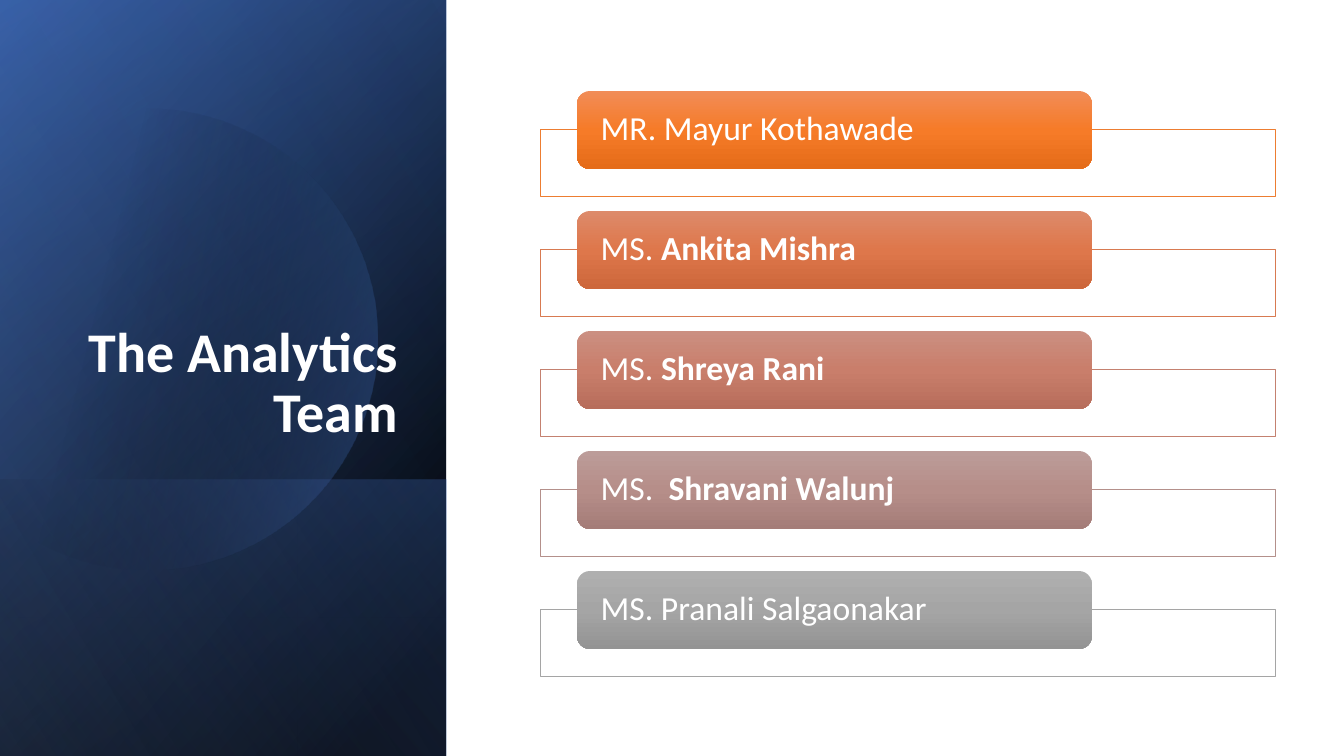
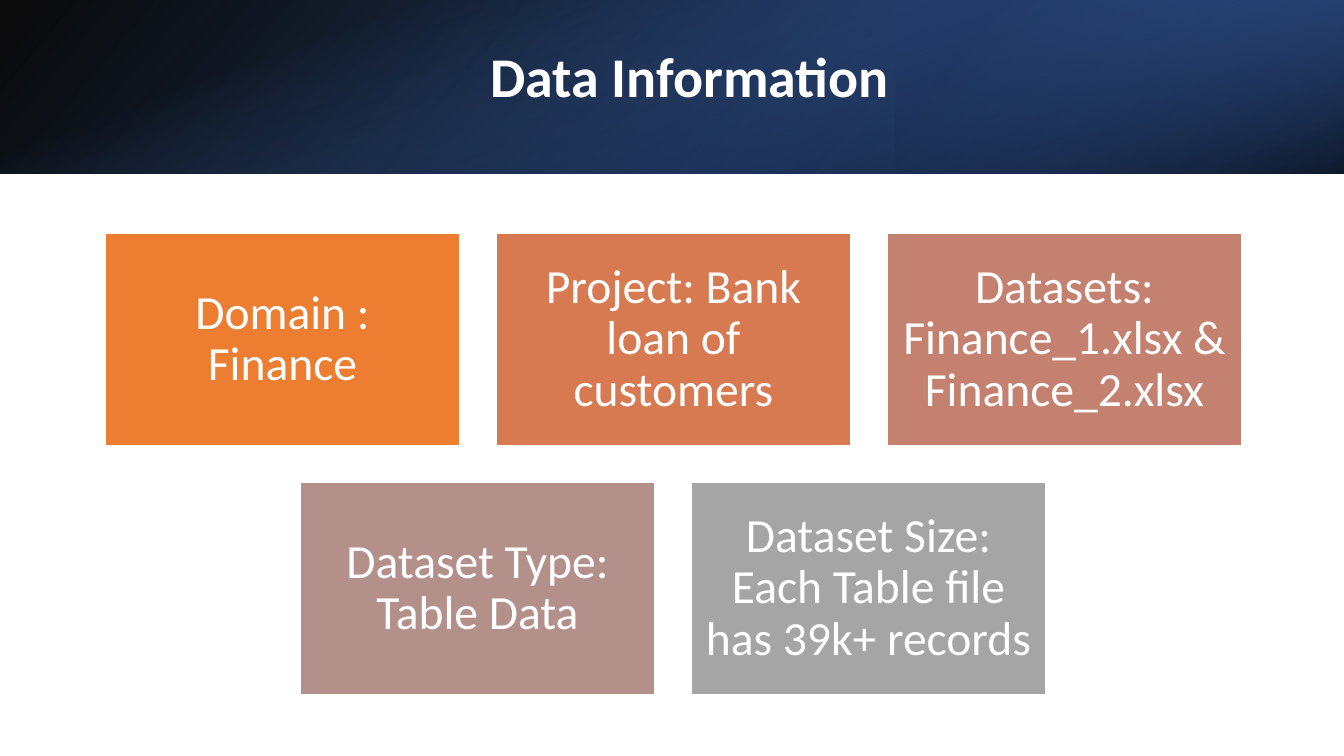
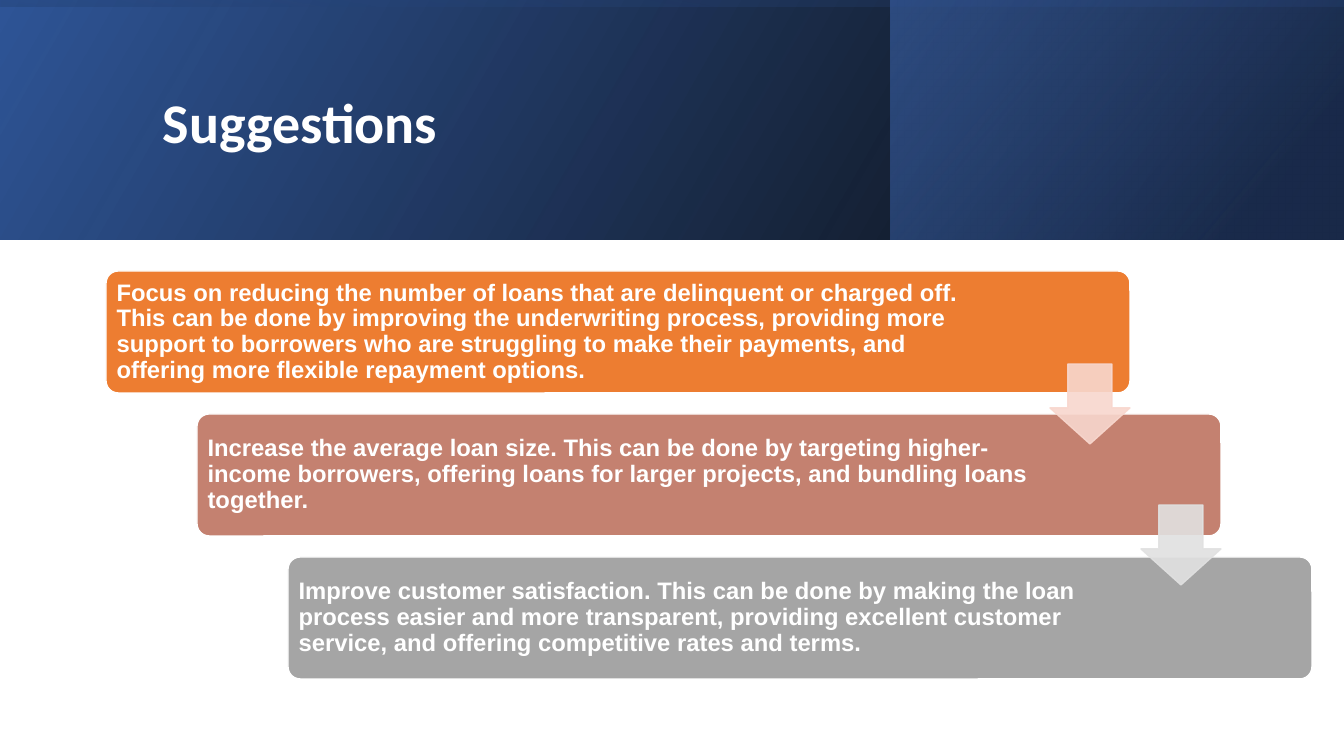
"""Build three slides: the team, the data and the suggestions."""
from dataclasses import dataclass
from math import cos, radians, sin

from pptx import Presentation
from pptx.dml.color import RGBColor
from pptx.enum.shapes import MSO_SHAPE
from pptx.enum.text import MSO_ANCHOR, PP_ALIGN
from pptx.oxml import parse_xml
from pptx.oxml.ns import nsdecls, qn
from pptx.shapes.autoshape import Shape
from pptx.slide import Slide
from pptx.util import Emu, Pt

RECT = MSO_SHAPE.RECTANGLE
ROUND = MSO_SHAPE.ROUNDED_RECTANGLE
ARROW = MSO_SHAPE.DOWN_ARROW
LEFT, MID, RIGHT = PP_ALIGN.LEFT, PP_ALIGN.CENTER, PP_ALIGN.RIGHT
CENTER, BOTTOM = MSO_ANCHOR.MIDDLE, MSO_ANCHOR.BOTTOM
WIDE, HIGH = 1344, 756
SCALE = 12192000 / WIDE
HEAD, BODY = "Calibri", "Arial"

COLORS = {
    "white": "FFFFFF", "black": "000000", "navy": "203864",
    "deep": "2F5597", "blue": "4472C4", "pale": "8FAADC",
    "orange": "ED7D31", "copper": "D87A51", "clay": "C48170",
    "mauve": "B4908B", "gray": "A5A5A5", "blush": "F8D7CE", "mist": "E1E1E1",
    "orange1": "F18C57", "orange2": "F67B28", "orange3": "E56C19",
    "copper1": "DD8A6A", "copper2": "DE774B", "copper3": "CD673B",
    "clay1": "CB8F81", "clay2": "C97E6B", "clay3": "B76D5B",
    "mauve1": "BC9C99", "mauve2": "B68E89", "mauve3": "A47C78",
    "gray1": "AFAFAF", "gray2": "A5A5A5", "gray3": "939393",
}
TONES = ("orange", "copper", "clay", "mauve", "gray")


@dataclass(frozen=True)
class Box:
    """A place on the slide in px."""
    x: int
    y: int
    w: int
    h: int


@dataclass(frozen=True)
class Stop:
    """One gradient stop: position, colour and opacity in percent."""
    pos: int
    color: str
    alpha: int = 100


@dataclass(frozen=True)
class Band:
    """A gradient panel, given by the area it covers once turned."""
    box: Box
    stops: tuple[Stop, ...]
    angle: int
    turn: int = 0
    flip: bool = True


@dataclass(frozen=True)
class Run:
    """Text in one weight."""
    text: str
    bold: bool = False


@dataclass(frozen=True)
class Style:
    """Font, size, alignment, anchor and insets of a text."""
    font: str
    size: int
    align: PP_ALIGN = LEFT
    anchor: MSO_ANCHOR = CENTER
    pads: tuple[int, int, int, int] = (10, 5, 10, 5)


@dataclass(frozen=True)
class Step:
    """A suggestion and the free space to its right."""
    text: str
    color: str
    pad: int


SIDE = Box(0, 0, 446, HIGH)
TOP = Box(0, 0, WIDE, 174)
TALL = Box(0, 0, WIDE, 240)
PANEL = (
    Band(SIDE, (Stop(8, "black"), Stop(100, "deep")), 50, 90),
    Band(SIDE, (Stop(0, "black", 0), Stop(99, "blue", 46)), 30, 90),
    Band(Box(0, 480, 446, 276), (Stop(2, "blue", 29), Stop(100, "black", 30)), 130, 90),
)
SHEEN = Band(SIDE, (Stop(0, "black", 0), Stop(99, "pale", 11)), 120, 90)
DISC = (Stop(29, "black", 0), Stop(100, "blue", 43))
BANNER = (
    Band(TOP, (Stop(0, "black", 96), Stop(100, "deep")), 140),
    Band(Box(896, 0, 448, 174), (Stop(19, "navy", 68), Stop(100, "blue", 79)), 320, 180),
    Band(TOP, (Stop(23, "blue", 0), Stop(99, "black", 74)), 340, 90, False),
)
HEADER = (
    Band(TALL, (Stop(0, "black", 96), Stop(100, "deep")), 330),
    Band(Box(891, 0, 452, 240), (Stop(19, "navy", 68), Stop(100, "blue", 48)), 320),
    Band(TALL, (Stop(23, "deep", 16), Stop(99, "black", 45)), 350, 270),
)
TEAM = (
    (Run("MR. Mayur Kothawade"),),
    (Run("MS."), Run(" Ankita Mishra", True)),
    (Run("MS."), Run(" Shreya Rani", True)),
    (Run("MS.  "), Run("Shravani Walunj", True)),
    (Run("MS. Pranali Salgaonakar"),),
)
FACTS = (
    ("Domain : Finance", "Project: Bank loan of customers",
     "Datasets: Finance_1.xlsx & Finance_2.xlsx"),
    ("Dataset Type: Table Data", "Dataset Size: Each Table file has 39k+ records"),
)
STEPS = (
    Step("Focus on reducing the number of loans that are delinquent or charged off. This can be "
         "done by improving the underwriting process, providing more support to borrowers who are "
         "struggling to make their payments, and offering more flexible repayment options.",
         "orange", 131),
    Step("Increase the average loan size. This can be done by targeting higher-income borrowers, "
         "offering loans for larger projects, and bundling loans together.", "clay", 177),
    Step("Improve customer satisfaction. This can be done by making the loan process easier and "
         "more transparent, providing excellent customer service, and offering competitive rates "
         "and terms.", "gray", 177),
)


def px(size: float) -> Emu:
    """Turn px into EMU."""
    return Emu(round(size * SCALE))


def rgb(name: str) -> RGBColor:
    """Look up a colour."""
    return RGBColor.from_string(COLORS[name])


def place(box: Box) -> tuple[Emu, ...]:
    """Turn a box into EMU."""
    return px(box.x), px(box.y), px(box.w), px(box.h)


def blend(shape: Shape, stops: tuple[Stop, ...], angle: int) -> None:
    """Give a shape a linear gradient, no line and no shadow."""
    marks = "".join(
        f'<a:gs pos="{s.pos * 1000}"><a:srgbClr val="{COLORS[s.color]}">'
        f'<a:alpha val="{s.alpha * 1000}"/></a:srgbClr></a:gs>' for s in stops)
    grad = parse_xml(
        f'<a:gradFill {nsdecls("a")} rotWithShape="1"><a:gsLst>{marks}</a:gsLst>'
        f'<a:lin ang="{angle * 60000}" scaled="0"/></a:gradFill>')
    shape.element.spPr.insert(2, grad)
    shape.line.fill.background()
    shape.shadow.inherit = False


def form(slide: Slide, kind: MSO_SHAPE, box: Box, fill: str, line: str,
         width: float = 1, alpha: int = 100) -> Shape:
    """Draw a plain shape with a solid fill and a line."""
    shape = slide.shapes.add_shape(kind, *place(box))
    shape.shadow.inherit = False
    shape.fill.solid()
    shape.fill.fore_color.rgb = rgb(fill)
    shape.line.color.rgb = rgb(line)
    shape.line.width = Pt(width)
    if alpha < 100:
        for color in shape.element.spPr.iter(qn("a:srgbClr")):
            color.append(parse_xml(f'<a:alpha {nsdecls("a")} val="{alpha * 1000}"/>'))
    return shape


def write(shape: Shape, runs: tuple[Run, ...], style: Style) -> None:
    """Fill a shape with one paragraph."""
    frame = shape.text_frame
    frame.word_wrap = True
    frame.vertical_anchor = style.anchor
    (frame.margin_left, frame.margin_top,
     frame.margin_right, frame.margin_bottom) = map(px, style.pads)
    para = frame.paragraphs[0]
    para.alignment = style.align
    para.line_spacing = 0.9
    for item in runs:
        run = para.add_run()
        run.text = item.text
        run.font.name = style.font
        run.font.size = Pt(style.size)
        run.font.bold = item.bold
        run.font.color.rgb = rgb("white")


def title(slide: Slide, text: str, box: Box, align: PP_ALIGN,
          anchor: MSO_ANCHOR = CENTER) -> None:
    """Write the slide title."""
    label = slide.shapes.add_textbox(*place(box))
    write(label, (Run(text, True),), Style(HEAD, 40, align, anchor))


def panel(slide: Slide, band: Band) -> None:
    """Draw a gradient panel, turned about its centre."""
    box = band.box
    if band.turn % 180:
        shift = (box.w - box.h) // 2
        box = Box(box.x + shift, box.y - shift, box.h, box.w)
    shape = slide.shapes.add_shape(RECT, *place(box))
    shape.rotation = band.turn
    if band.flip:
        shape.element.spPr.find(qn("a:xfrm")).set("flipH", "1")
    blend(shape, band.stops, band.angle)


def disc(slide: Slide) -> None:
    """Draw the large circle cut by the left edge."""
    arc = [(px(147 + 230 * cos(radians(a))), px(339 + 230 * sin(radians(a))))
           for a in range(-129, 130, 2)]
    path = slide.shapes.build_freeform(*arc[0], scale=1.0)
    path.add_line_segments(arc[1:], close=True)
    blend(path.convert_to_shape(), DISC, 14)


def team(slide: Slide) -> None:
    """Draw the team slide."""
    for band in PANEL:
        panel(slide, band)
    disc(slide)
    panel(slide, SHEEN)
    title(slide, "The Analytics Team", Box(64, 186, 344, 264), RIGHT, BOTTOM)
    style = Style(HEAD, 24, pads=(20, 0, 20, 0))
    for row, (runs, tone) in enumerate(zip(TEAM, TONES)):
        y = 91 + 120 * row
        form(slide, RECT, Box(540, y + 38, 735, 67), "white", tone, 0.5)
        pill = slide.shapes.add_shape(ROUND, *place(Box(577, y, 515, 78)))
        blend(pill, tuple(Stop(50 * i, f"{tone}{i + 1}") for i in range(3)), 90)
        write(pill, runs, style)


def data(slide: Slide) -> None:
    """Draw the data slide."""
    for band in BANNER:
        panel(slide, band)
    title(slide, "Data Information", Box(216, 31, 947, 97), MID)
    wide, high, gap = 355, 213, 36
    style = Style(HEAD, 34, MID, pads=(14, 14, 14, 14))
    tones = iter(TONES)
    for row, facts in enumerate(FACTS):
        left = 673 - (len(facts) * (wide + gap) - gap) // 2
        for col, fact in enumerate(facts):
            box = Box(left + col * (wide + gap), 233 + row * (high + gap), wide, high)
            write(form(slide, RECT, box, next(tones), "white"), (Run(fact),), style)


def advice(slide: Slide) -> None:
    """Draw the suggestions slide."""
    for band in HEADER:
        panel(slide, band)
    title(slide, "Suggestions", Box(153, 39, 1072, 173), LEFT)
    for i, step in enumerate(STEPS):
        box = Box(106 + 91 * i, 271 + 143 * i, 1024, 122)
        card = form(slide, ROUND, box, step.color, "white")
        card.adjustments[0] = 0.1
        write(card, (Run(step.text, True),), Style(BODY, 17, pads=(7, 7, step.pad, 7)))
    for i, tone in enumerate(("blush", "mist")):
        box = Box(1050 + 91 * i, 364 + 141 * i, 80, 80)
        arrow = form(slide, ARROW, box, tone, tone, alpha=90)
        arrow.adjustments[0] = 0.55
        arrow.adjustments[1] = 0.45


def main() -> None:
    """Build and save the deck."""
    deck = Presentation()
    deck.slide_width, deck.slide_height = px(WIDE), px(HIGH)
    for draw in (team, data, advice):
        draw(deck.slides.add_slide(deck.slide_layouts[6]))
    deck.save("out.pptx")


if __name__ == "__main__":
    main()
